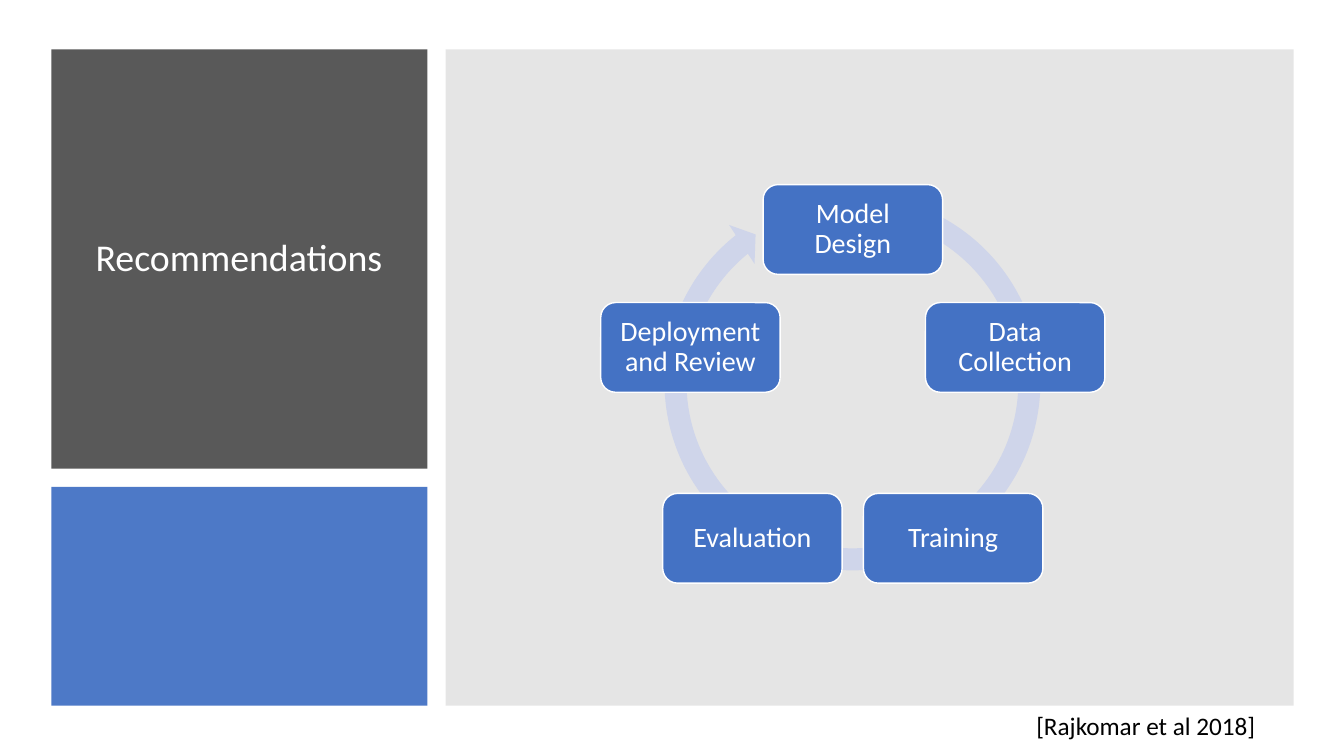
from dataclasses import dataclass
from math import cos, radians, sin

from lxml import etree
from pptx import Presentation
from pptx.dml.color import RGBColor
from pptx.enum.shapes import MSO_SHAPE
from pptx.enum.text import MSO_ANCHOR, PP_ALIGN
from pptx.oxml.ns import qn
from pptx.util import Inches, Pt

RECT = MSO_SHAPE.RECTANGLE
ROUND = MSO_SHAPE.ROUNDED_RECTANGLE
ARROW = MSO_SHAPE.CIRCULAR_ARROW
TOP, MIDDLE = MSO_ANCHOR.TOP, MSO_ANCHOR.MIDDLE
LEFT, CENTER = PP_ALIGN.LEFT, PP_ALIGN.CENTER

# Grid of square cells: 80 columns by 45 rows
WIDTH, HEIGHT = Inches(13.33), Inches(7.5)
CELL = HEIGHT / 45


@dataclass(frozen=True)
class Theme:
    font: str = "Calibri"
    dark: str = "595959"
    blue: str = "4472C4"
    gray: str = "808080"
    pale: str = "CFD5EA"
    white: str = "FFFFFF"
    black: str = "000000"
    title: int = 27
    label: int = 20
    cite: int = 18


class Deck:
    def __init__(self, theme):
        self.theme = theme
        self.prs = Presentation()
        self.prs.slide_width, self.prs.slide_height = WIDTH, HEIGHT
        self.slide = self.prs.slides.add_slide(self.prs.slide_layouts[6])

    def place(self, *cells):
        return [round(n * CELL) for n in cells]

    def shape(self, kind, box, color, alpha=100):
        item = self.slide.shapes.add_shape(kind, *self.place(*box))
        item.shadow.inherit = False
        item.fill.solid()
        item.fill.fore_color.rgb = RGBColor.from_string(color)
        item.line.fill.background()
        if alpha < 100:
            tint = item.element.spPr.find(".//" + qn("a:srgbClr"))
            etree.SubElement(tint, qn("a:alpha"), val=str(alpha * 1000))
        return item

    def label(self, item, text, size, color, align=LEFT, anchor=TOP, lead=1.0):
        frame = item.text_frame
        frame.word_wrap = True
        frame.vertical_anchor = anchor
        para = frame.paragraphs[0]
        para.text = text
        para.alignment = align
        para.line_spacing = lead
        para.font.name = self.theme.font
        para.font.size = Pt(size)
        para.font.color.rgb = RGBColor.from_string(color)
        return frame

    def text(self, box, *words, **style):
        item = self.slide.shapes.add_textbox(*self.place(*box))
        self.label(item, *words, **style)

    def ring(self, box, turns):
        item = self.shape(ARROW, box, self.theme.pale)
        for i, turn in enumerate(turns):
            item.adjustments[i] = turn

    def node(self, mid_x, mid_y, wide, high, name):
        box = (mid_x - wide / 2, mid_y - high / 2, wide, high)
        item = self.shape(ROUND, box, self.theme.blue)
        item.line.color.rgb = RGBColor.from_string(self.theme.white)
        item.line.width = Pt(1)
        frame = self.label(item, name, self.theme.label, self.theme.white,
                           CENTER, MIDDLE, 0.9)
        frame.margin_left = frame.margin_right = Inches(0.08)
        frame.margin_top = frame.margin_bottom = Inches(0.08)


def main():
    theme = Theme()
    deck = Deck(theme)

    # Side blocks and main panel
    deck.shape(RECT, (3.06, 2.94, 22.38, 24.96), theme.dark)
    deck.text((5.1, 4.8, 18.66, 21.24), "Recommendations", theme.title,
              theme.white, anchor=MIDDLE, lead=0.9)
    deck.shape(RECT, (3.06, 28.98, 22.38, 13.02), theme.blue, 95)
    deck.shape(RECT, (26.52, 2.94, 50.46, 39.06), theme.gray, 20)

    # Citation
    deck.text((61.08, 42, 18, 2.4), "[Rajkomar et al 2018]", theme.cite,
              theme.black)

    # Cycle: steps spaced evenly clockwise from the top
    deck.ring((38.82, 10.86, 23.82, 23.82),
              (0.055, 3.307, 138.781, 173.241, 0.058))
    steps = ("Model Design", "Data Collection", "Training", "Evaluation",
             "Deployment and Review")
    hub_x, hub_y, reach = 50.75, 23.82, 10.16
    for i, step in enumerate(steps):
        turn = radians(i * 360 / len(steps))
        deck.node(hub_x + reach * sin(turn), hub_y - reach * cos(turn),
                  10.68, 5.34, step)

    deck.prs.save("out.pptx")


if __name__ == "__main__":
    main()
